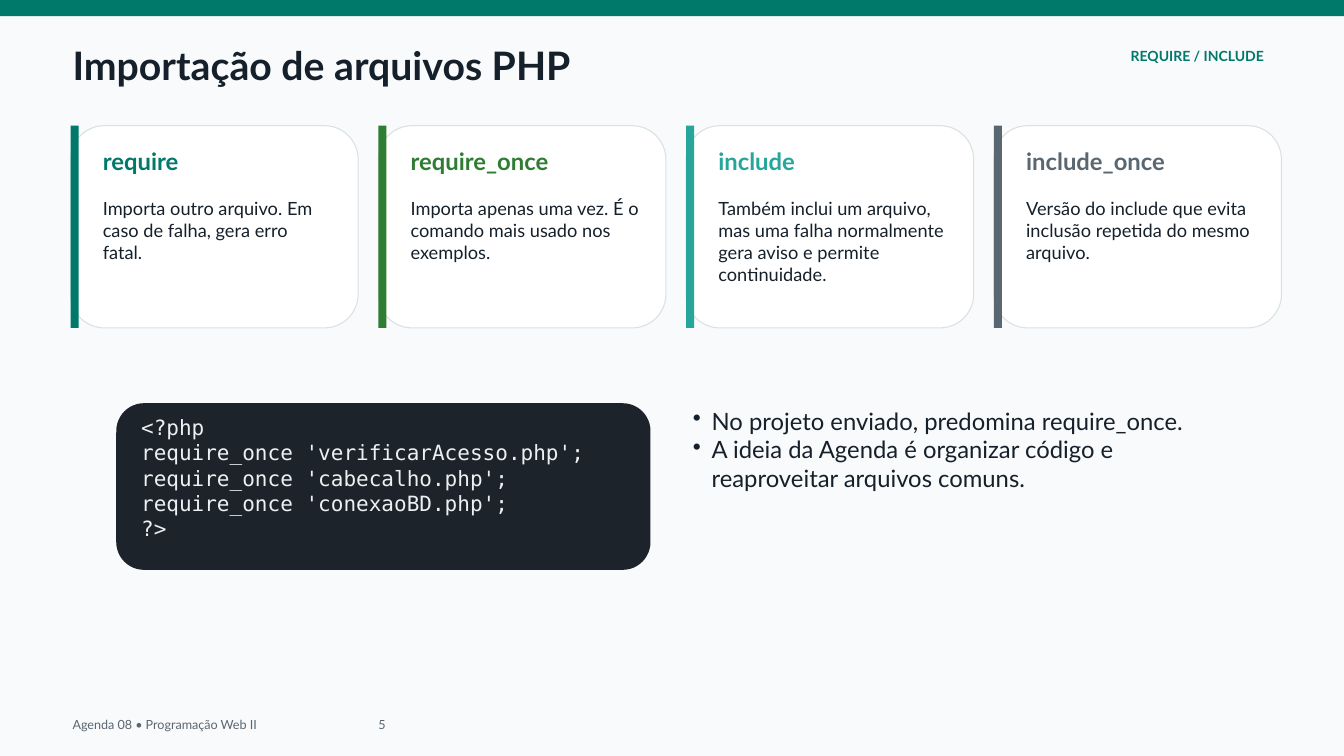
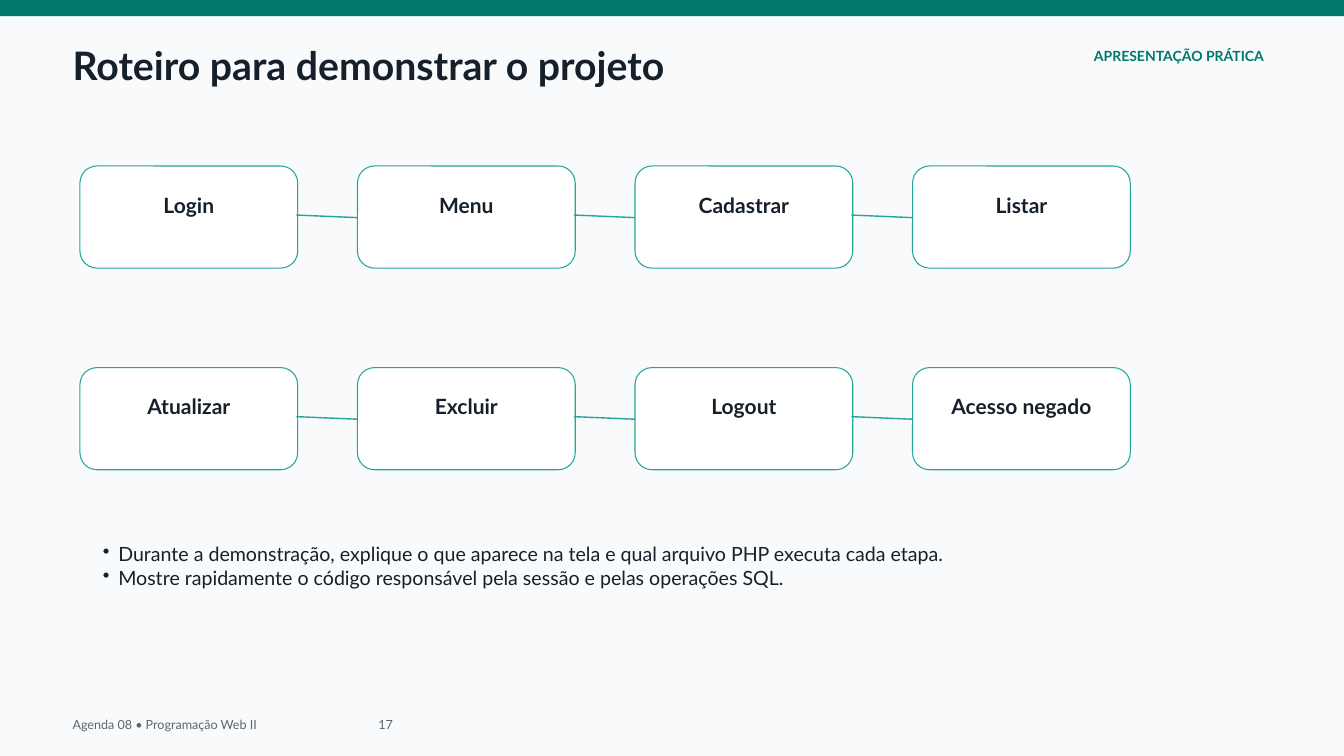
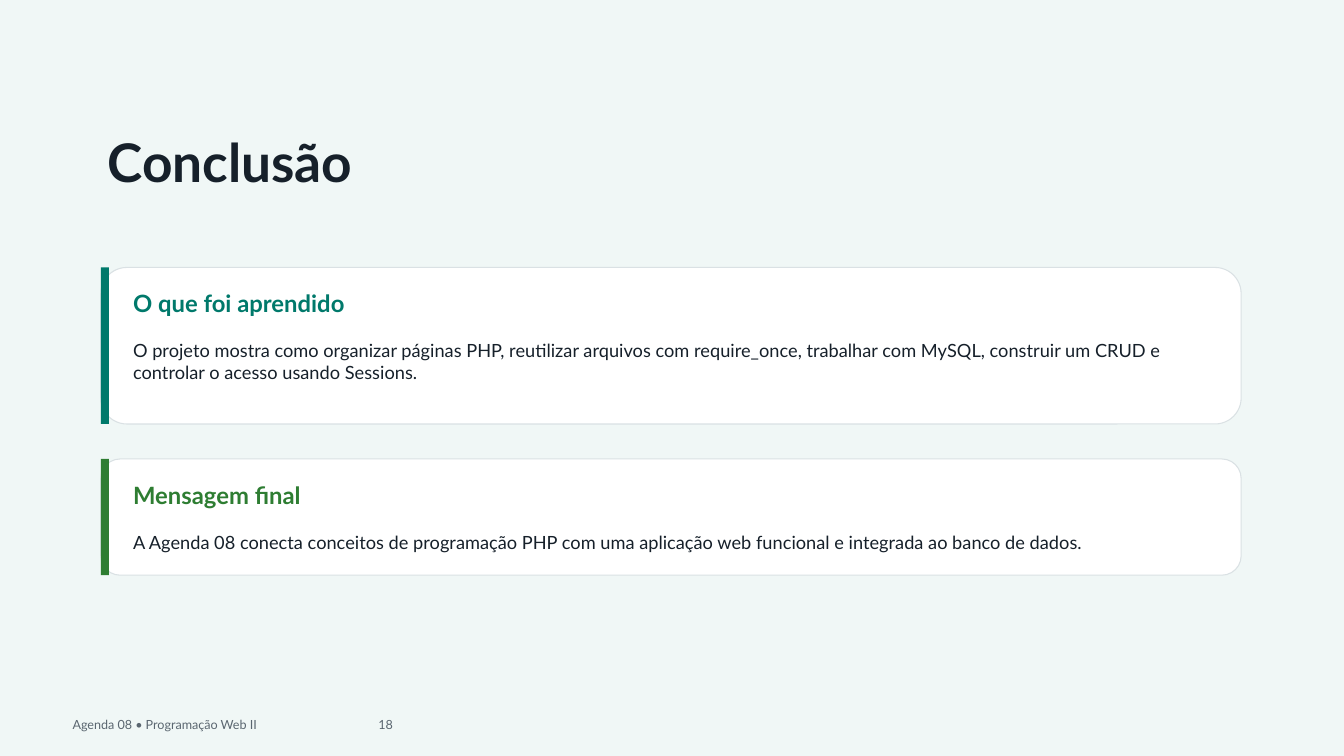
from lxml.etree import SubElement
from pptx import Presentation
from pptx.dml.color import RGBColor
from pptx.enum.shapes import MSO_CONNECTOR, MSO_SHAPE
from pptx.enum.text import MSO_ANCHOR, MSO_AUTO_SIZE, PP_ALIGN
from pptx.oxml.ns import qn
from pptx.util import Inches, Pt

PAGE = RGBColor(0xF8, 0xFA, 0xFC)
CLOSING_PAGE = RGBColor(0xF0, 0xF7, 0xF6)
WHITE = RGBColor(0xFF, 0xFF, 0xFF)
INK = RGBColor(0x16, 0x20, 0x2A)
GREY = RGBColor(0x5A, 0x66, 0x70)
BORDER = RGBColor(0xDA, 0xE1, 0xE4)
TEAL = RGBColor(0x00, 0x79, 0x6B)
GREEN = RGBColor(0x2E, 0x7D, 0x32)
AQUA = RGBColor(0x26, 0xA6, 0x9A)
CODE_PANEL = RGBColor(0x1D, 0x23, 0x2A)
CODE_TEXT = RGBColor(0xEB, 0xF0, 0xF2)

SANS = "Lato"
MONO = "DejaVu Sans Mono"
SLIDE_W, SLIDE_H = 20, 11.25
TITLE_ONLY = 5


# Shared building blocks; boxes are (left, top, width, height) in inches
def inches(box):
    return [Inches(length) for length in box]


def write(holder, lines, size, color, bold=False, font=SANS,
          align=PP_ALIGN.LEFT, bullets=False, tab=None):
    frame = holder.text_frame
    frame.word_wrap = True
    frame.auto_size = MSO_AUTO_SIZE.NONE
    frame.vertical_anchor = MSO_ANCHOR.TOP
    frame.margin_left = frame.margin_right = 0
    frame.margin_top = frame.margin_bottom = 0
    frame.text = "\n".join(lines)
    for paragraph in frame.paragraphs:
        properties = paragraph._p.get_or_add_pPr()
        if bullets:
            hang = Inches(round(size * 0.011, 2))
            properties.set("marL", str(hang))
            properties.set("indent", str(-hang))
            SubElement(properties, qn("a:buChar"), char="•")
        if tab:
            stops = SubElement(properties, qn("a:tabLst"))
            SubElement(stops, qn("a:tab"), pos=str(Inches(tab)), algn="l")
        paragraph.alignment = align
        paragraph.line_spacing = Pt(round(size * 1.2, 1))
        for run in paragraph.runs:
            run.font.name = font
            run.font.size = Pt(size)
            run.font.bold = bold
            run.font.color.rgb = color


def add_text(slide, box, lines, size, color, **style):
    write(slide.shapes.add_textbox(*inches(box)), lines, size, color, **style)


def add_block(slide, preset, box, fill, border=None):
    block = slide.shapes.add_shape(preset, *inches(box))
    block.shadow.inherit = False
    block.fill.solid()
    block.fill.fore_color.rgb = fill
    if border is None:
        block.line.fill.background()
    else:
        block.line.color.rgb = border
        block.line.width = Pt(1.13)


def add_page(deck, title, title_box, title_size, number, page_color):
    slide = deck.slides.add_slide(deck.slide_layouts[TITLE_ONLY])
    slide.background.fill.solid()
    slide.background.fill.fore_color.rgb = page_color
    heading = slide.shapes.title
    heading.left, heading.top, heading.width, heading.height = inches(title_box)
    write(heading, [title], title_size, INK, bold=True)
    add_text(slide, (1.08, 10.67, 17.81, 0.24),
             [f"Agenda 08 • Programação Web II\t{number}"], 13.5, GREY, tab=4.55)
    return slide


def add_content_page(deck, title, section, number):
    slide = add_page(deck, title, (1.08, 0.62, 14.5, 0.73), 42, number, PAGE)
    add_block(slide, MSO_SHAPE.RECTANGLE, (0, 0, SLIDE_W, 0.24), TEAL)
    add_text(slide, (15.86, 0.7, 2.95, 0.43), [section], 15, TEAL,
             bold=True, align=PP_ALIGN.RIGHT)
    return slide


def add_card(slide, box, heading, body, accent):
    left, top, width, height = box
    add_block(slide, MSO_SHAPE.ROUNDED_RECTANGLE, box, WHITE, BORDER)
    add_block(slide, MSO_SHAPE.RECTANGLE, (left, top, 0.12, height), accent)
    text_left, text_width = left + 0.48, width - 0.88
    add_text(slide, (text_left, top + 0.32, text_width, 0.53), [heading],
             25.5, accent, bold=True)
    add_text(slide, (text_left, top + 1.07, text_width, height - 1.33), [body],
             19.5, INK)


def add_code_panel(slide, box, code):
    left, top, width, height = box
    add_block(slide, MSO_SHAPE.ROUNDED_RECTANGLE, box, CODE_PANEL)
    add_text(slide, (left + 0.37, top + 0.17, width - 0.74, height - 0.4), code,
             22.5, CODE_TEXT, font=MONO)


def add_step(slide, box, label):
    left, top, width, height = box
    add_block(slide, MSO_SHAPE.ROUNDED_RECTANGLE, box, WHITE, AQUA)
    add_text(slide, (left + 0.26, top + 0.39, width - 0.52, 0.73), [label],
             22.5, INK, bold=True, align=PP_ALIGN.CENTER)


def add_link(slide, start, end):
    link = slide.shapes.add_connector(MSO_CONNECTOR.STRAIGHT, *inches(start + end))
    link.line.color.rgb = AQUA
    link.line.width = Pt(1.5)
    SubElement(link._element.spPr, qn("a:effectLst"))


def add_step_row(slide, box, labels, pitch):
    left, top, width, height = box
    for column, label in enumerate(labels):
        step_left = left + column * pitch
        add_step(slide, (step_left, top, width, height), label)
        if column < len(labels) - 1:
            add_link(slide, (step_left + width - 0.02, top + 0.73),
                     (step_left + pitch + 0.03, top + 0.77))


# Slides
def build_imports(deck):
    slide = add_content_page(deck, "Importação de arquivos PHP",
                             "REQUIRE / INCLUDE", 5)
    commands = [
        ("require", "Importa outro arquivo. Em caso de falha, gera erro fatal.", TEAL),
        ("require_once",
         "Importa apenas uma vez. É o comando mais usado nos exemplos.", GREEN),
        ("include", "Também inclui um arquivo, mas uma falha normalmente gera "
                    "aviso e permite continuidade.", AQUA),
        ("include_once",
         "Versão do include que evita inclusão repetida do mesmo arquivo.", GREY),
    ]
    for column, (command, meaning, accent) in enumerate(commands):
        add_card(slide, (1.05 + column * 4.58, 1.87, 4.28, 3.01),
                 command, meaning, accent)
    add_code_panel(slide, (1.73, 6, 7.95, 2.48), [
        "<?php",
        "require_once 'verificarAcesso.php';",
        "require_once 'cabecalho.php';",
        "require_once 'conexaoBD.php';",
        "?>",
    ])
    add_text(slide, (10.31, 6.05, 7.61, 2.6), [
        "No projeto enviado, predomina require_once.",
        "A ideia da Agenda é organizar código e reaproveitar arquivos comuns.",
    ], 25.5, INK, bullets=True)


def build_walkthrough(deck):
    slide = add_content_page(deck, "Roteiro para demonstrar o projeto",
                             "APRESENTAÇÃO PRÁTICA", 17)
    rows = [("Login", "Menu", "Cadastrar", "Listar"),
            ("Atualizar", "Excluir", "Logout", "Acesso negado")]
    for row, labels in enumerate(rows):
        add_step_row(slide, (1.19, 2.47 + row * 3, 3.24, 1.52), labels, 4.13)
    add_text(slide, (1.53, 8.07, 16.91, 1.56), [
        "Durante a demonstração, explique o que aparece na tela e qual arquivo "
        "PHP executa cada etapa.",
        "Mostre rapidamente o código responsável pela sessão e pelas operações SQL.",
    ], 21, INK, bullets=True)


def build_conclusion(deck):
    slide = add_page(deck, "Conclusão", (1.6, 1.93, 16.76, 1.7), 57, 18, CLOSING_PAGE)
    add_card(slide, (1.5, 3.98, 16.97, 2.33), "O que foi aprendido",
             "O projeto mostra como organizar páginas PHP, reutilizar arquivos com "
             "require_once, trabalhar com MySQL, construir um CRUD e controlar o "
             "acesso usando Sessions.", TEAL)
    add_card(slide, (1.5, 6.83, 16.97, 1.73), "Mensagem final",
             "A Agenda 08 conecta conceitos de programação PHP com uma aplicação "
             "web funcional e integrada ao banco de dados.", GREEN)


def main():
    deck = Presentation()
    deck.slide_width, deck.slide_height = Inches(SLIDE_W), Inches(SLIDE_H)
    build_imports(deck)
    build_walkthrough(deck)
    build_conclusion(deck)
    deck.save("out.pptx")


if __name__ == "__main__":
    main()
